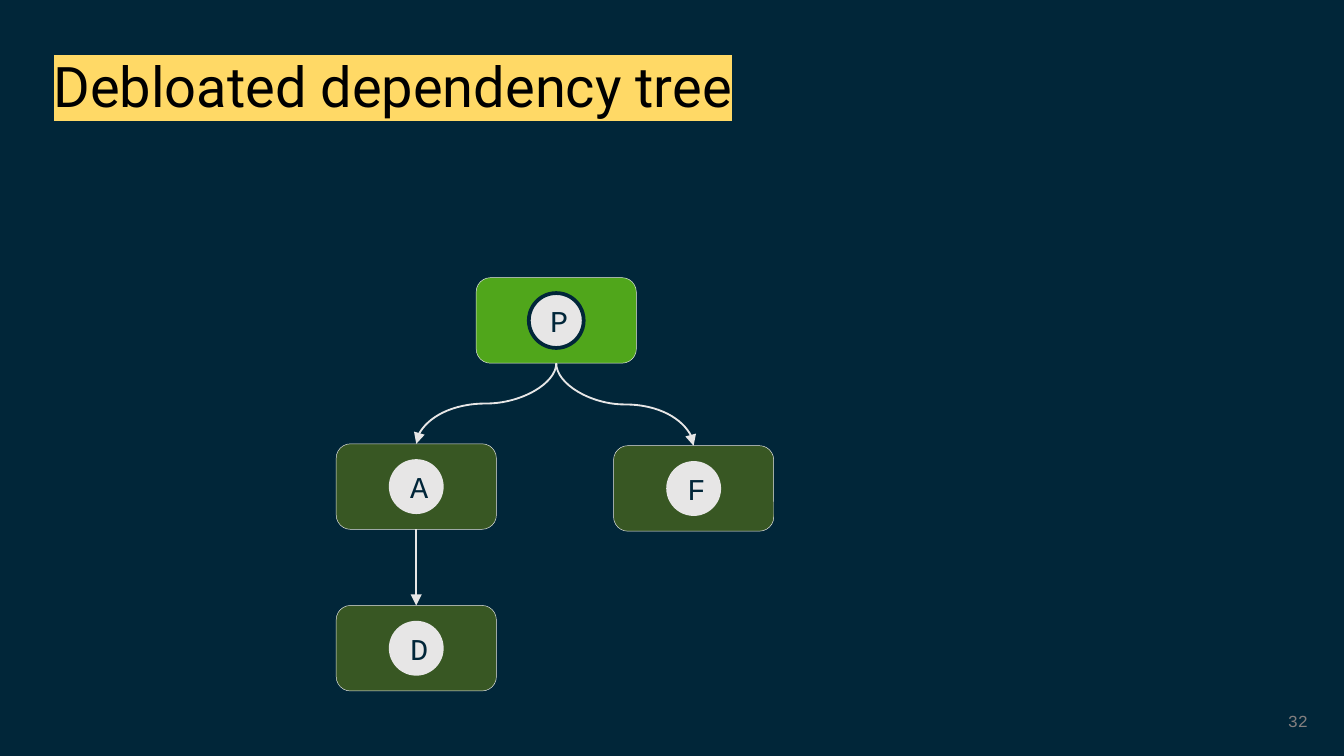
from dataclasses import dataclass

from lxml import etree
from pptx import Presentation
from pptx.dml.color import RGBColor
from pptx.enum.shapes import MSO_CONNECTOR, MSO_SHAPE
from pptx.enum.text import MSO_ANCHOR, PP_ALIGN
from pptx.oxml.ns import qn
from pptx.shapes.autoshape import Shape
from pptx.shapes.connector import Connector
from pptx.slide import Slide
from pptx.text.text import Font
from pptx.util import Pt

CURVE = MSO_CONNECTOR.CURVE
LINE = MSO_CONNECTOR.STRAIGHT
CARD = MSO_SHAPE.ROUNDED_RECTANGLE
DISC = MSO_SHAPE.OVAL
MIDDLE = MSO_ANCHOR.MIDDLE
CENTER = PP_ALIGN.CENTER
RIGHT = PP_ALIGN.RIGHT

NAVY = RGBColor(0x01, 0x26, 0x39)
PALE = RGBColor(0xE7, 0xE6, 0xE6)
LIME = RGBColor(0x50, 0xA6, 0x1B)
MOSS = RGBColor(0x38, 0x57, 0x23)
GOLD = RGBColor(0xFF, 0xD9, 0x66)
GRAY = RGBColor(0x84, 0x7F, 0x7F)
BLACK = RGBColor(0, 0, 0)

MONO = "Courier New"
SANS = "Roboto"
CARD_W, CARD_H = 85.8, 45.8
DISC_D = 29.4


@dataclass(frozen=True)
class Node:
    name: str
    mid: float
    top: float
    fill: RGBColor = MOSS
    ring: bool = False

    @property
    def base(self) -> float:
        return self.top + CARD_H


def style(font: Font, face: str, size: float, color: RGBColor) -> None:
    font.name = face
    font.size = Pt(size)
    font.color.rgb = color


def draw_card(slide: Slide, node: Node) -> None:
    card = slide.shapes.add_shape(
        CARD, Pt(node.mid - CARD_W / 2), Pt(node.top), Pt(CARD_W), Pt(CARD_H))
    card.shadow.inherit = False
    card.fill.solid()
    card.fill.fore_color.rgb = node.fill
    card.line.color.rgb = PALE
    card.line.width = Pt(0.25)


def draw_disc(slide: Slide, node: Node) -> None:
    top = node.top + (CARD_H - DISC_D) / 2
    disc = slide.shapes.add_shape(
        DISC, Pt(node.mid - DISC_D / 2), Pt(top), Pt(DISC_D), Pt(DISC_D))
    disc.shadow.inherit = False
    disc.fill.solid()
    disc.fill.fore_color.rgb = PALE
    if node.ring:
        disc.line.color.rgb = NAVY
        disc.line.width = Pt(2)
    else:
        disc.line.fill.background()
    frame = disc.text_frame
    frame.text = node.name
    frame.vertical_anchor = MIDDLE
    para = frame.paragraphs[0]
    para.alignment = CENTER
    style(para.runs[0].font, MONO, 16.2, NAVY)


def add_curve(slide: Slide, start: Node, end: Node) -> Connector:
    drop = end.top - start.base
    span = abs(end.mid - start.mid)
    left = (start.mid + end.mid - drop) / 2
    top = (start.base + end.top - span) / 2
    ends = [left, left + drop]
    turn = 90
    if end.mid > start.mid:
        ends.reverse()
        turn = 270
    link = slide.shapes.add_connector(
        CURVE, Pt(ends[0]), Pt(top), Pt(ends[1]), Pt(top + span))
    link._element.spPr.find(qn("a:xfrm")).set("rot", str(turn * 60000))
    return link


def draw_link(slide: Slide, start: Node, end: Node) -> None:
    if start.mid == end.mid:
        link = slide.shapes.add_connector(
            LINE, Pt(start.mid), Pt(start.base), Pt(end.mid), Pt(end.top))
    else:
        link = add_curve(slide, start, end)
    link.line.color.rgb = PALE
    link.line.width = Pt(1)
    edge = link.line._get_or_add_ln()
    etree.SubElement(edge, qn("a:tailEnd"), type="triangle")
    etree.SubElement(link._element.spPr, qn("a:effectLst"))


def add_text(slide: Slide, text: str, left: float, top: float,
             width: float, height: float) -> Shape:
    box = slide.shapes.add_textbox(Pt(left), Pt(top), Pt(width), Pt(height))
    box.text_frame.word_wrap = True
    box.text_frame.text = text
    return box


def draw_title(slide: Slide) -> None:
    box = add_text(slide, "Debloated dependency tree", 21.6, 28.1, 526.3, 38.9)
    para = box.text_frame.paragraphs[0]
    para.line_spacing = 0.9
    run = para.runs[0]
    run.font.color.rgb = BLACK
    mark = etree.SubElement(run._r.get_or_add_rPr(), qn("a:highlight"))
    etree.SubElement(mark, qn("a:srgbClr"), val=str(GOLD))
    style(run.font, SANS, 30, BLACK)


def draw_number(slide: Slide) -> None:
    box = add_text(slide, "32", 545.8, 375.1, 162, 21.6)
    box.text_frame.vertical_anchor = MIDDLE
    para = box.text_frame.paragraphs[0]
    para.alignment = RIGHT
    style(para.runs[0].font, MONO, 9, GRAY)


def main() -> None:
    deck = Presentation()
    deck.slide_width, deck.slide_height = Pt(720), Pt(405)
    slide = deck.slides.add_slide(deck.slide_layouts[6])
    slide.background.fill.solid()
    slide.background.fill.fore_color.rgb = NAVY

    root = Node("P", 298, 148.8, LIME, True)
    left = Node("A", 223, 237.8)
    right = Node("F", 371.6, 238.8)
    leaf = Node("D", 223, 324.4)
    nodes = [root, left, right, leaf]

    draw_number(slide)
    for node in nodes:
        draw_card(slide, node)
    for start, end in [(root, left), (root, right), (left, leaf)]:
        draw_link(slide, start, end)
    for node in nodes:
        draw_disc(slide, node)
    draw_title(slide)
    deck.save("out.pptx")


if __name__ == "__main__":
    main()
